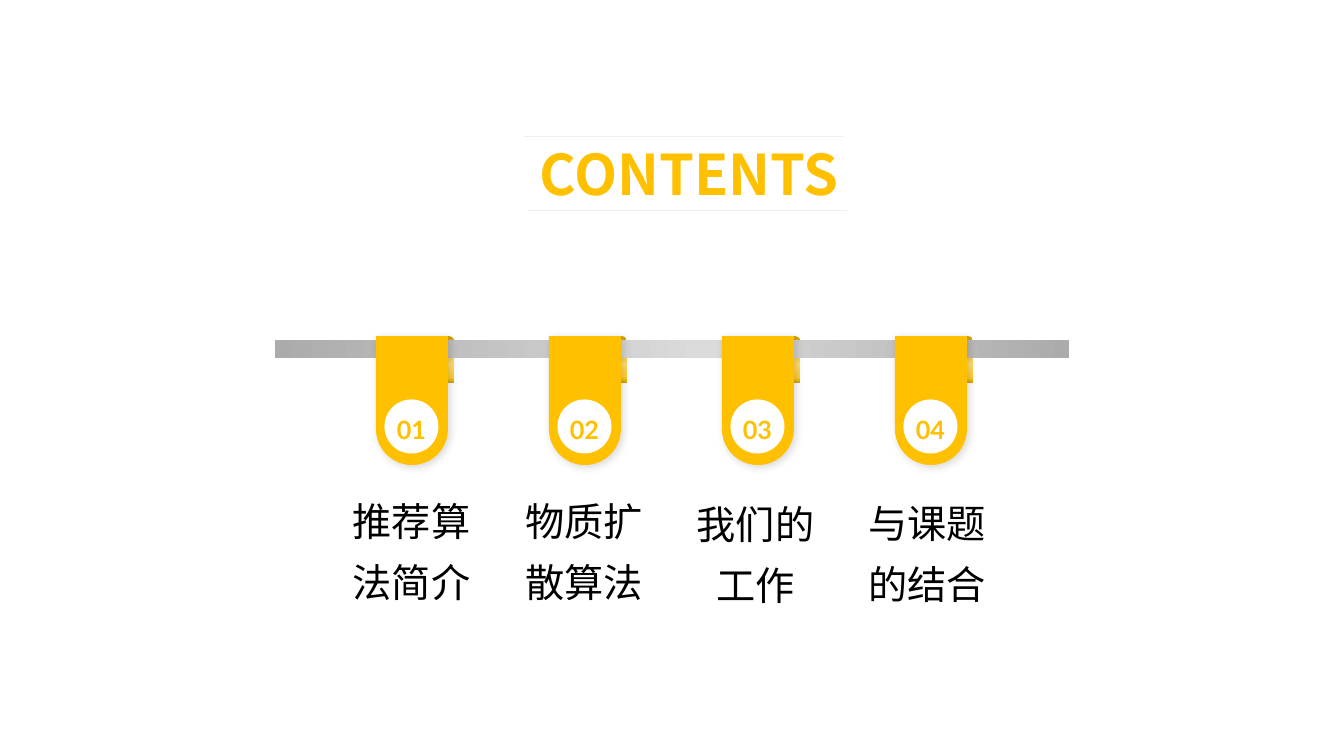
import lxml.etree
import pptx
import pptx.dml.color
import pptx.enum.shapes
import pptx.enum.text
import pptx.oxml.ns
import pptx.util

RGBColor = pptx.dml.color.RGBColor
SHAPES = pptx.enum.shapes.MSO_SHAPE
ANCHOR = pptx.enum.text.MSO_ANCHOR
qn = pptx.oxml.ns.qn

SCALE = 12192000 / 1344  # EMU per px
GOLD = RGBColor(0xFF, 0xC0, 0x00)
DARK_GOLD = RGBColor(0xD2, 0xA0, 0x00)
PALE_GOLD = RGBColor(0xFF, 0xDC, 0x6D)
MID_GOLD = RGBColor(0xFF, 0xCD, 0x2D)
DARK_GREY = RGBColor(0xAB, 0xAB, 0xAB)
LIGHT_GREY = RGBColor(0xDB, 0xDB, 0xDB)
RULE_GREY = RGBColor(0xEE, 0xEE, 0xEE)
BLACK = RGBColor(0, 0, 0)
WHITE = RGBColor(255, 255, 255)
CJK_FONT = "Noto Sans CJK SC"
NUMBER_FONT = "Lato"

CLIP_STOPS = [(0, DARK_GOLD), (60, PALE_GOLD), (89, MID_GOLD), (100, DARK_GOLD)]
BAR_STOPS = [(0, DARK_GREY), (54, LIGHT_GREY), (100, DARK_GREY)]

TAB_LEFT, TAB_TOP, TAB_PITCH = 376, 336, 173
TAB_WIDTH, TAB_HEIGHT = 72, 129
# Label text, then its left and top relative to the tab, its width and height
LABELS = [
    ("推荐算法简介", -45, 142, 161, 159),
    ("物质扩散算法", -46, 142, 162, 159),
    ("我们的工作", -45, 145, 157, 153),
    ("与课题的结合", -49, 144, 162, 153),
]


def px(length):
    return pptx.util.Emu(round(length * SCALE))


def add_plain_shape(page, kind, left, top, width, height):
    """Add a preset shape without outline or shadow."""
    shape = page.shapes.add_shape(kind, px(left), px(top), px(width), px(height))
    shape.shadow.inherit = False
    shape.line.fill.background()
    return shape


def fill_solid(shape, color):
    shape.fill.solid()
    shape.fill.fore_color.rgb = color


def fill_gradient(shape, stops, angle):
    shape.fill.gradient()
    shape.fill.gradient_angle = angle
    stop_list = shape._element.spPr.find(qn("a:gradFill")).find(qn("a:gsLst"))
    for stop in list(stop_list):
        stop_list.remove(stop)
    for percent, color in stops:
        stop = lxml.etree.SubElement(stop_list, qn("a:gs"), pos=str(percent * 1000))
        lxml.etree.SubElement(stop, qn("a:srgbClr"), val=str(color))


def add_soft_shadow(shape):
    effects = shape._element.spPr.find(qn("a:effectLst"))
    shadow = lxml.etree.SubElement(
        effects, qn("a:outerShdw"), blurRad=str(pptx.util.Pt(6)),
        dist=str(pptx.util.Pt(2)), dir=str(45 * 60000), algn="tl", rotWithShape="0")
    color = lxml.etree.SubElement(shadow, qn("a:srgbClr"), val=str(BLACK))
    lxml.etree.SubElement(color, qn("a:alpha"), val="15000")


def write_text(frame, text, size, font, color, spacing, bold=False):
    frame.word_wrap = True
    para = frame.paragraphs[0]
    para.text = text
    para.alignment = pptx.enum.text.PP_ALIGN.CENTER
    para.line_spacing = spacing
    para.font.size = pptx.util.Pt(size)
    para.font.bold = bold
    para.font.color.rgb = color
    para.font.name = font
    properties = para._p.pPr.find(qn("a:defRPr"))
    lxml.etree.SubElement(properties, qn("a:ea"), typeface=font)


def add_text(page, left, top, width, height, *style, **options):
    box = page.shapes.add_textbox(px(left), px(top), px(width), px(height))
    write_text(box.text_frame, *style, **options)


def add_rule(page, left, top, width):
    rule = page.shapes.add_connector(
        pptx.enum.shapes.MSO_CONNECTOR.STRAIGHT,
        px(left), px(top), px(left + width), px(top))
    rule.line.color.rgb = RULE_GREY
    rule.line.width = pptx.util.Pt(0.5)
    lxml.etree.SubElement(rule._element.spPr, qn("a:effectLst"))


def add_title(page, left, top):
    add_text(page, left + 2, top + 6, 326, 81,
             "CONTENTS", 40, CJK_FONT, GOLD, 0.9, bold=True)
    add_rule(page, left, top, 319)
    add_rule(page, left + 4, top + 74, 319)


def add_clip(page, left, top):
    """Add the back of a tab, which shows behind the bar."""
    clip = add_plain_shape(page, SHAPES.ROUND_2_SAME_RECTANGLE, left, top, 11, 47)
    clip.adjustments[0] = 0.5
    fill_gradient(clip, CLIP_STOPS, 270)


def add_bar(page, left, top, width, height):
    bar = add_plain_shape(page, SHAPES.RECTANGLE, left, top, width, height)
    fill_gradient(bar, BAR_STOPS, 0)


def add_tab(page, left, top, number):
    tab = add_plain_shape(page, SHAPES.ROUND_2_SAME_RECTANGLE,
                          left, top, TAB_WIDTH, TAB_HEIGHT)
    tab.adjustments[0] = 0
    tab.adjustments[1] = 0.5
    fill_solid(tab, GOLD)
    add_soft_shadow(tab)

    disc = add_plain_shape(page, SHAPES.OVAL, left + 9, top + 64, 53, 53)
    fill_solid(disc, WHITE)
    disc.line.color.rgb = WHITE
    disc.line.width = pptx.util.Pt(0.75)
    frame = disc.text_frame
    frame.margin_left = frame.margin_right = frame.margin_top = frame.margin_bottom = 0
    frame.vertical_anchor = ANCHOR.MIDDLE
    write_text(frame, f"{number:02d}", 18, NUMBER_FONT, GOLD, 1.2, bold=True)


def add_agenda(page, left, top):
    """Add the bar with its numbered tabs and labels; the box starts at the first tab."""
    tab_lefts = [left + index * TAB_PITCH for index in range(len(LABELS))]
    for tab_left in tab_lefts:
        add_clip(page, tab_left + 67, top)
    add_bar(page, left - 101, top + 4, 794, 18)
    for number, (tab_left, label) in enumerate(zip(tab_lefts, LABELS), start=1):
        add_tab(page, tab_left, top, number)
        text, offset_x, offset_y, width, height = label
        add_text(page, tab_left + offset_x, top + offset_y, width, height,
                 text, 28, CJK_FONT, BLACK, 1.3)


def main():
    deck = pptx.Presentation()
    deck.slide_width, deck.slide_height = px(1344), px(756)
    page = deck.slides.add_slide(deck.slide_layouts[6])
    add_agenda(page, TAB_LEFT, TAB_TOP)
    add_title(page, 524, 136)
    deck.save("out.pptx")


if __name__ == "__main__":
    main()
